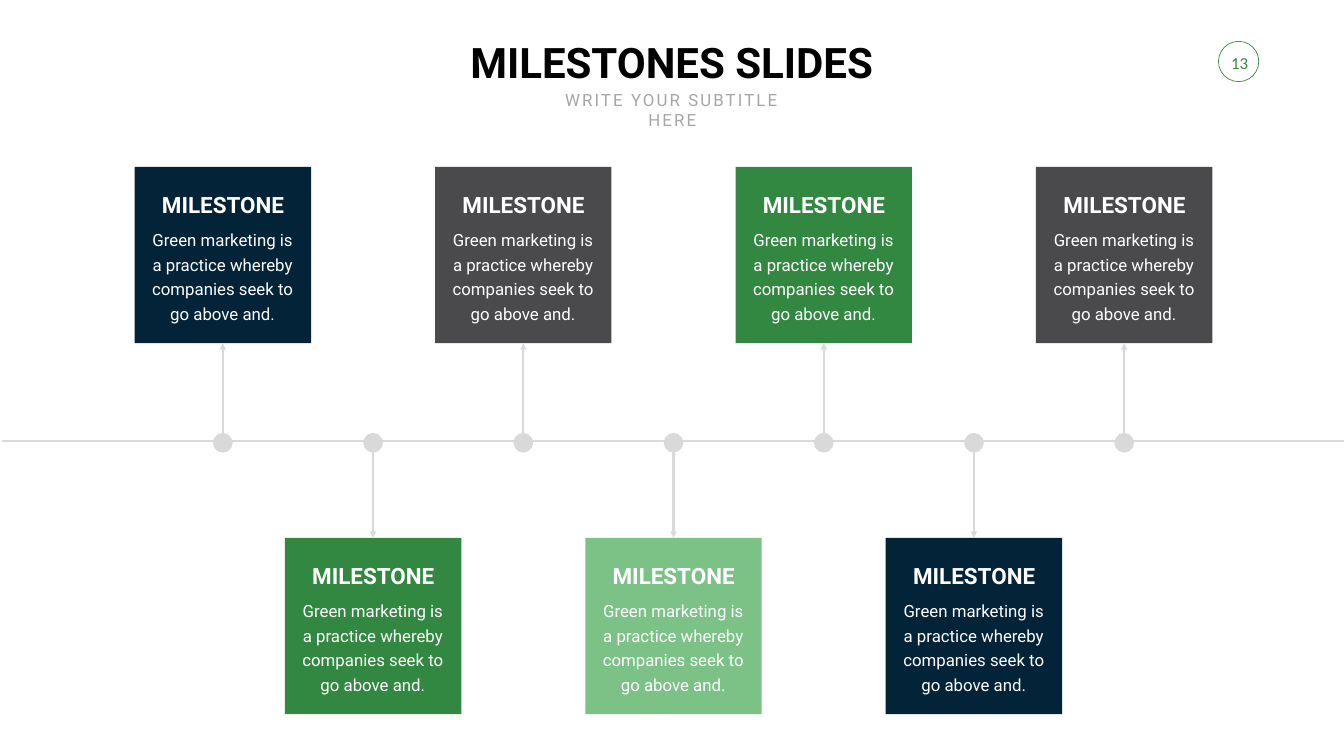
from dataclasses import dataclass

import pptx
import pptx.dml.color
import pptx.enum.shapes
import pptx.enum.text
import pptx.oxml
import pptx.oxml.ns
import pptx.util
from pptx.dml.color import RGBColor
from pptx.enum.shapes import MSO_CONNECTOR, MSO_SHAPE
from pptx.enum.text import MSO_ANCHOR, MSO_AUTO_SIZE, PP_ALIGN
from pptx.util import Inches

NAVY = RGBColor(0x02, 0x23, 0x38)
CHARCOAL = RGBColor(0x4A, 0x4A, 0x4C)
GREEN = RGBColor(0x32, 0x88, 0x40)
LIGHT_GREEN = RGBColor(0x7C, 0xC2, 0x87)
RULE_GRAY = RGBColor(0xD9, 0xD9, 0xD9)
SUBTITLE_GRAY = RGBColor(0xA6, 0xA6, 0xA6)
BLACK = RGBColor(0x00, 0x00, 0x00)
WHITE = RGBColor(0xFF, 0xFF, 0xFF)

SLIDE_WIDTH = 26.66
CARD_SIZE = 3.5
FIRST_CARD_LEFT = 2.67
CARD_PITCH = 2.98
UPPER_TOP = 3.31
LOWER_TOP = 10.67
AXIS_Y = 8.75
ARROW_START_Y = 8.72
DOT_TOP = 8.59
DOT_SIZE = 0.39
TOP_SITE, BOTTOM_SITE = 0, 2


@dataclass(frozen=True)
class Milestone:
    position: int
    color: RGBColor
    heading: str = "MILESTONE"
    description: str = "Green marketing is a practice whereby companies seek to go above and."

    @property
    def is_upper(self) -> bool:
        return self.position % 2 == 0

    @property
    def left(self) -> float:
        return FIRST_CARD_LEFT + CARD_PITCH * self.position

    @property
    def top(self) -> float:
        return UPPER_TOP if self.is_upper else LOWER_TOP

    @property
    def center(self) -> float:
        return self.left + CARD_SIZE / 2


MILESTONES = [
    Milestone(position, color)
    for position, color in enumerate(
        (NAVY, GREEN, CHARCOAL, LIGHT_GREEN, GREEN, NAVY, CHARCOAL)
    )
]


def place(shape, left: float, top: float, width: float, height: float):
    shape.left, shape.top = Inches(left), Inches(top)
    shape.width, shape.height = Inches(width), Inches(height)
    return shape


def write_text(shape, text: str, *, size: float, color: RGBColor, font: str = "Roboto",
               bold: bool = False, wrap: bool = True, anchor=MSO_ANCHOR.TOP,
               line_pitch: float | None = None, tracking: float = 0) -> None:
    frame = shape.text_frame
    frame.auto_size = MSO_AUTO_SIZE.NONE
    frame.word_wrap = wrap
    frame.vertical_anchor = anchor
    paragraph = frame.paragraphs[0]
    paragraph.alignment = PP_ALIGN.CENTER
    paragraph.space_before = pptx.util.Pt(0)
    if line_pitch:
        paragraph.line_spacing = pptx.util.Pt(line_pitch)
    run = paragraph.add_run()
    run.text = text
    run.font.name = font
    run.font.size = pptx.util.Pt(size)
    run.font.bold = bold
    run.font.color.rgb = color
    if tracking:
        run.font._element.set("spc", str(round(tracking * 100)))


def add_text(slide, left: float, top: float, width: float, height: float,
             text: str, **text_format) -> None:
    box = slide.shapes.add_textbox(
        Inches(left), Inches(top), Inches(width), Inches(height))
    write_text(box, text, **text_format)


def add_filled(slide, preset, left: float, top: float, size: float, color: RGBColor):
    shape = slide.shapes.add_shape(
        preset, Inches(left), Inches(top), Inches(size), Inches(size))
    shape.shadow.inherit = False
    shape.fill.solid()
    shape.fill.fore_color.rgb = color
    shape.line.fill.background()
    return shape


def add_rule(slide, start: tuple[float, float], end: tuple[float, float]):
    rule = slide.shapes.add_connector(
        MSO_CONNECTOR.STRAIGHT, *(Inches(value) for value in start + end))
    rule.line.color.rgb = RULE_GRAY
    rule.line.width = pptx.util.Pt(3)
    rule._element.spPr.append(pptx.oxml.parse_xml(
        f"<a:effectLst {pptx.oxml.ns.nsdecls('a')}/>"))
    return rule


def add_card(slide, milestone: Milestone):
    card = add_filled(slide, MSO_SHAPE.ROUNDED_RECTANGLE, milestone.left,
                      milestone.top, CARD_SIZE, milestone.color)
    card.adjustments[0] = 0
    return card


def add_arrow(slide, milestone: Milestone, card) -> None:
    edge = milestone.top + (CARD_SIZE if milestone.is_upper else 0)
    arrow = add_rule(slide, (milestone.center, ARROW_START_Y), (milestone.center, edge))
    arrow.end_connect(card, BOTTOM_SITE if milestone.is_upper else TOP_SITE)
    arrow.line._get_or_add_ln().append(pptx.oxml.parse_xml(
        f'<a:tailEnd {pptx.oxml.ns.nsdecls("a")} type="triangle"/>'))


def add_card_text(slide, milestone: Milestone) -> None:
    add_text(slide, milestone.left + 0.37, milestone.top + 0.43, 2.77, 0.64,
             milestone.heading, size=32, color=WHITE, bold=True, wrap=False,
             anchor=MSO_ANCHOR.MIDDLE)
    add_text(slide, milestone.left + 0.24, milestone.top + 1.12, 3.01, 2.01,
             milestone.description, size=24, color=WHITE, line_pitch=35)


def add_page_number(slide) -> None:
    ring = slide.shapes.add_shape(
        MSO_SHAPE.OVAL, Inches(24.17), Inches(0.82), Inches(0.8), Inches(0.8))
    ring.shadow.inherit = False
    ring.fill.background()
    ring.line.color.rgb = GREEN
    ring.line.width = pptx.util.Pt(1)
    add_text(slide, 24.19, 0.85, 0.8, 0.8, "13", size=24, color=GREEN,
             font="Calibri", wrap=False, anchor=MSO_ANCHOR.MIDDLE)


def main() -> None:
    presentation = pptx.Presentation()
    presentation.slide_width = Inches(SLIDE_WIDTH)
    presentation.slide_height = Inches(15)
    slide = presentation.slides.add_slide(presentation.slide_layouts[0])

    title = place(slide.shapes.title, 9.18, 0.67, 8.29, 1.11)
    write_text(title, "MILESTONES SLIDES", size=60, color=BLACK, bold=True, wrap=False)
    subtitle = place(slide.placeholders[1], 10.62, 1.72, 5.43, 0.5)
    write_text(subtitle, "WRITE YOUR SUBTITLE HERE", size=24,
               color=SUBTITLE_GRAY, tracking=3)
    add_page_number(slide)

    cards = [add_card(slide, milestone) for milestone in MILESTONES]
    add_rule(slide, (0.04, AXIS_Y), (SLIDE_WIDTH, AXIS_Y))
    for milestone, card in zip(MILESTONES, cards):
        add_arrow(slide, milestone, card)
        add_filled(slide, MSO_SHAPE.OVAL, milestone.center - DOT_SIZE / 2,
                   DOT_TOP, DOT_SIZE, RULE_GRAY)
        add_card_text(slide, milestone)

    presentation.save("out.pptx")


if __name__ == "__main__":
    main()
